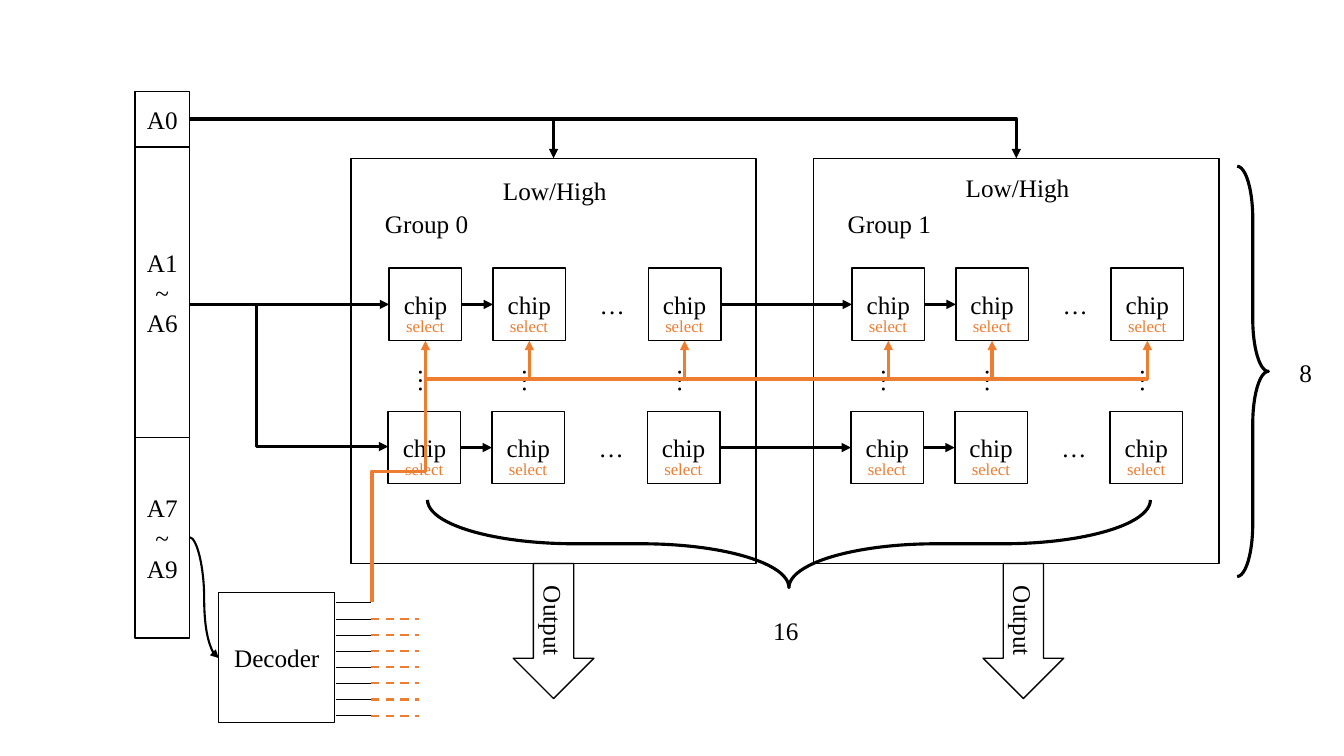
from dataclasses import dataclass

from lxml import etree
from pptx import Presentation
from pptx.dml.color import RGBColor
from pptx.enum.dml import MSO_LINE
from pptx.enum.shapes import MSO_CONNECTOR, MSO_SHAPE
from pptx.enum.text import MSO_ANCHOR, PP_ALIGN
from pptx.oxml.ns import qn
from pptx.util import Pt

RECT, ARROW, BRACE = MSO_SHAPE.RECTANGLE, MSO_SHAPE.RIGHT_ARROW, MSO_SHAPE.RIGHT_BRACE
STRAIGHT, ELBOW, CURVE = MSO_CONNECTOR.STRAIGHT, MSO_CONNECTOR.ELBOW, MSO_CONNECTOR.CURVE
DASH, MIDDLE, CENTER = MSO_LINE.DASH, MSO_ANCHOR.MIDDLE, PP_ALIGN.CENTER
RIGHT_SIDE, LEFT_SIDE = 3, 1


@dataclass(frozen=True)
class Theme:
    ink: RGBColor = RGBColor(0x00, 0x00, 0x00)
    paper: RGBColor = RGBColor(0xFF, 0xFF, 0xFF)
    select: RGBColor = RGBColor(0xED, 0x7D, 0x31)
    font: str = "Times New Roman"
    body: int = 18
    small: int = 12
    outline: float = 1
    bus: float = 2.25
    wire: float = 1.5
    pin: float = 0.5


THEME = Theme()

# Layout in px, 100 to the inch
CHIP = 72
GROUP_X, GROUP_Y, GROUP_SIZE, GROUP_STEP = 348, 157, 402, 459
COLUMNS = (38, 141, 295)
ROWS = ((266, 0), (408, -1))  # top, sideways shift
ADDRESS_CELLS = ((91, 55, ("A0",)), (146, 288, ("A1", "~", "A6")), (434, 199, ("A7", "~", "A9")))
PINS = [598 + 16 * i for i in range(8)]


def px(n):
    return round(n * 9144)


def write(tf, lines, size=THEME.body, color=THEME.ink, align=None):
    for i, line in enumerate(lines):
        p = tf.add_paragraph() if i else tf.paragraphs[0]
        p.alignment = align
        r = p.add_run()
        r.text = line
        r.font.name, r.font.size = THEME.font, Pt(size)
        r.font.color.rgb = color


def add_box(shapes, x, y, w, h, lines=(), kind=RECT, rotation=0):
    sp = shapes.add_shape(kind, px(x), px(y), px(w), px(h))
    sp.shadow.inherit = False
    sp.rotation = rotation
    sp.fill.solid()
    sp.fill.fore_color.rgb = THEME.paper
    sp.line.color.rgb = THEME.ink
    sp.line.width = Pt(THEME.outline)
    sp.text_frame.vertical_anchor = MIDDLE
    write(sp.text_frame, lines, align=CENTER)
    return sp


def add_label(shapes, x, y, w, h, text, size=THEME.body, color=THEME.ink, vertical=False):
    tf = shapes.add_textbox(px(x), px(y), px(w), px(h)).text_frame
    tf.word_wrap = True
    if vertical:
        tf._txBody.bodyPr.set("vert", "eaVert")
    write(tf, [text], size, color)


def add_brace(shapes, x, y, w, h, rotation=0):
    sp = add_box(shapes, x, y, w, h, kind=BRACE, rotation=rotation)
    sp.fill.background()
    sp.line.width = Pt(THEME.bus)
    sp.adjustments[0] = 1.68


def add_line(shapes, start, end, color=THEME.ink, width=THEME.bus, kind=STRAIGHT,
             arrow=True, dash=None):
    c = shapes.add_connector(kind, px(start[0]), px(start[1]), px(end[0]), px(end[1]))
    c.line.color.rgb = color
    c.line.width = Pt(width)
    if dash:
        c.line.dash_style = dash
    sp_pr = c.element.spPr
    if arrow:
        etree.SubElement(sp_pr.find(qn("a:ln")), qn("a:tailEnd"), type="triangle")
    etree.SubElement(sp_pr, qn("a:effectLst"))
    return c


def set_single_bend(c):
    c.element.spPr.find(qn("a:prstGeom")).set("prst", "bentConnector2")


def add_corner(shapes, start, end, color=THEME.ink):
    """Run sideways, then up or down."""
    set_single_bend(add_line(shapes, start, end, color, kind=ELBOW))


def add_upright_elbow(shapes, start, end, color=THEME.ink):
    """Leave start vertically, as an elbow turned by a quarter."""
    (x1, y1), (x2, y2) = start, end
    mid_x, mid_y = (x1 + x2) / 2, (y1 + y2) / 2
    half_w, half_h = abs(y2 - y1) / 2, (x2 - x1) / 2
    down = y2 > y1
    if down:
        half_h = -half_h
    c = add_line(shapes, (mid_x + half_w, mid_y + half_h),
                 (mid_x - half_w, mid_y - half_h), color, kind=ELBOW)
    c.element.spPr.find(qn("a:xfrm")).set("rot", str((270 if down else 90) * 60000))
    return c


def add_group(shapes, index):
    """Draw one memory group and return its rows of chips."""
    left = GROUP_X + index * GROUP_STEP
    add_box(shapes, left, GROUP_Y, GROUP_SIZE, GROUP_SIZE)
    add_label(shapes, left + 24, 202, 126, 40, f"Group {index}")
    add_label(shapes, left + 141, 169 - 3 * index, 150, 40, "Low/High")
    rows = []
    for top, shift in ROWS:
        rows.append([add_box(shapes, left + dx + shift, top, CHIP, CHIP, ["chip"])
                     for dx in COLUMNS])
        add_label(shapes, left + 237 + shift, top + 16, 34, 40, "…")
    for dx in COLUMNS:
        add_label(shapes, left + dx + 10, 356, 50, 36, "…", vertical=True)
    add_box(shapes, 482 + 466 * index, 586, 134, 80, ["Output"], ARROW, 90)
    return rows


def add_select_labels(shapes, index):
    for top, shift in ROWS:
        for dx in COLUMNS:
            x = GROUP_X + index * GROUP_STEP + dx + shift + 7
            add_label(shapes, x, top + 42, 84, 30, "select", THEME.small, THEME.select)


def add_decoder(shapes):
    unit = shapes.add_group_shape().shapes
    add_box(unit, 217, 588, 115, 129, ["Decoder"])
    for y in PINS:
        add_line(unit, (333, y), (368, y), width=THEME.pin, arrow=False)


def add_chip_links(shapes, groups):
    for first_row, second_row in zip(*groups):
        a, b, c = first_row
        d, e, _ = second_row
        for begin, end in ((a, b), (c, d), (d, e)):
            link = add_line(shapes, (0, 0), (1, 1))
            link.begin_connect(begin, RIGHT_SIDE)
            link.end_connect(end, LEFT_SIDE)


def add_select_wires(shapes):
    centers = [GROUP_X + i * GROUP_STEP + dx + CHIP // 2 for i in range(2) for dx in COLUMNS]
    add_upright_elbow(shapes, (369, 597), (centers[0], 338), THEME.select)
    for x, next_x in zip(centers, centers[1:]):
        add_corner(shapes, (x, 376), (next_x, 338), THEME.select)
    for y in PINS[1:]:
        add_line(shapes, (368, y), (416, y), THEME.select, THEME.wire, arrow=False, dash=DASH)


def main():
    prs = Presentation()
    prs.slide_width, prs.slide_height = px(1333), px(750)
    s = prs.slides.add_slide(prs.slide_layouts[6])
    shapes = s.shapes

    # Memory groups and address register
    groups = [add_group(shapes, i) for i in range(2)]
    for y, h, lines in ADDRESS_CELLS:
        add_box(shapes, 134, y, 54, h, lines)

    # Address lines
    for x in (549, 1008):
        add_corner(shapes, (188, 118), (x, GROUP_Y))
    row_bus = add_line(shapes, (188, 302), (386, 302))
    row_bus.end_connect(groups[0][0][0], LEFT_SIDE)
    add_chip_links(shapes, groups)
    set_single_bend(add_upright_elbow(shapes, (254, 302), (385, 443)))

    # Decoder and chip select
    add_decoder(shapes)
    add_select_wires(shapes)
    add_line(shapes, (188, 533), (217, 653), width=THEME.wire, kind=CURVE)
    for i in range(2):
        add_select_labels(shapes, i)

    # Array dimensions
    add_brace(shapes, 1227, 165, 31, 407)
    add_label(shapes, 1279, 350, 36, 40, "8")
    add_brace(shapes, 739, 181, 87, 717, 90)
    add_label(shapes, 757, 606, 62, 40, "16")

    prs.save("out.pptx")


if __name__ == "__main__":
    main()
